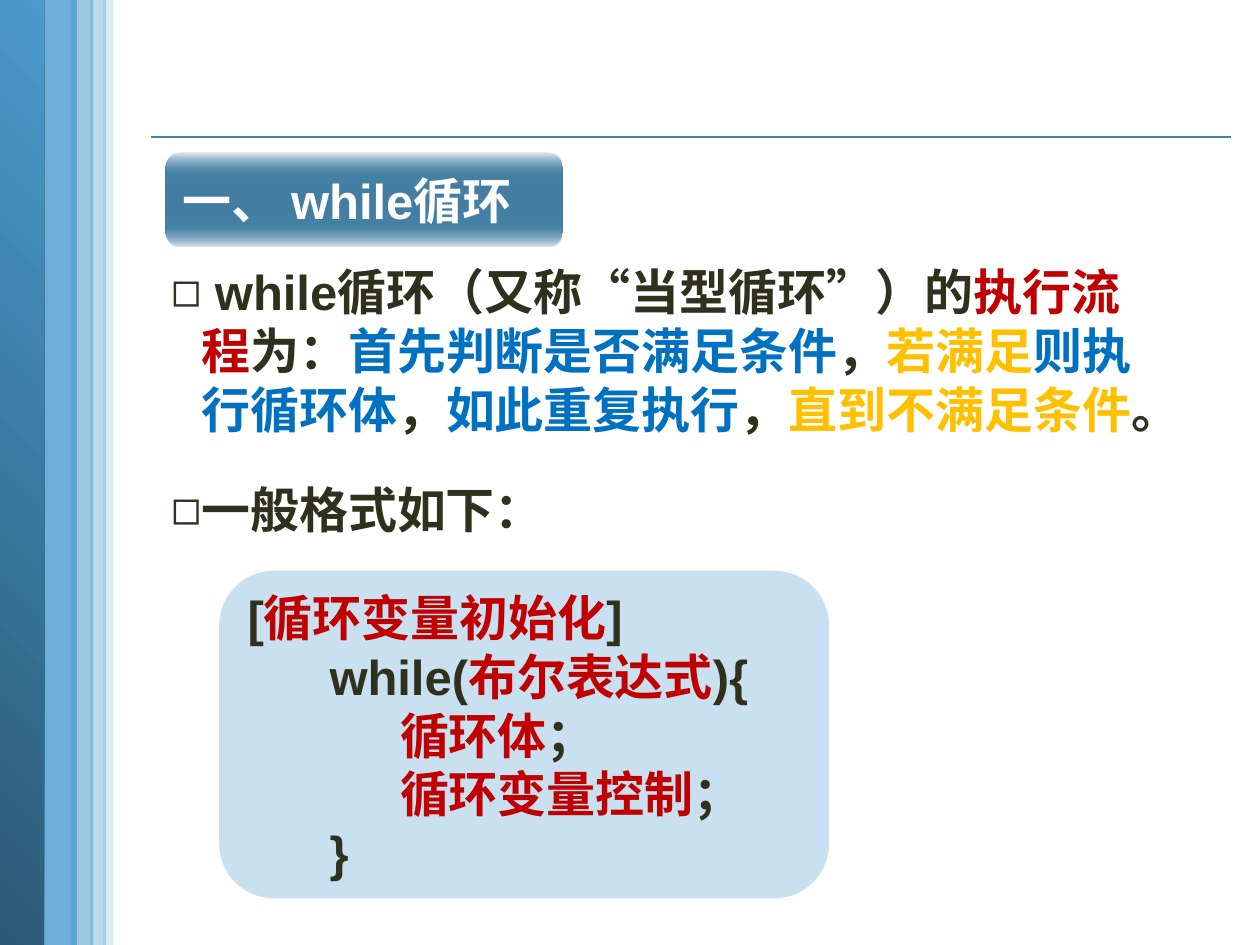
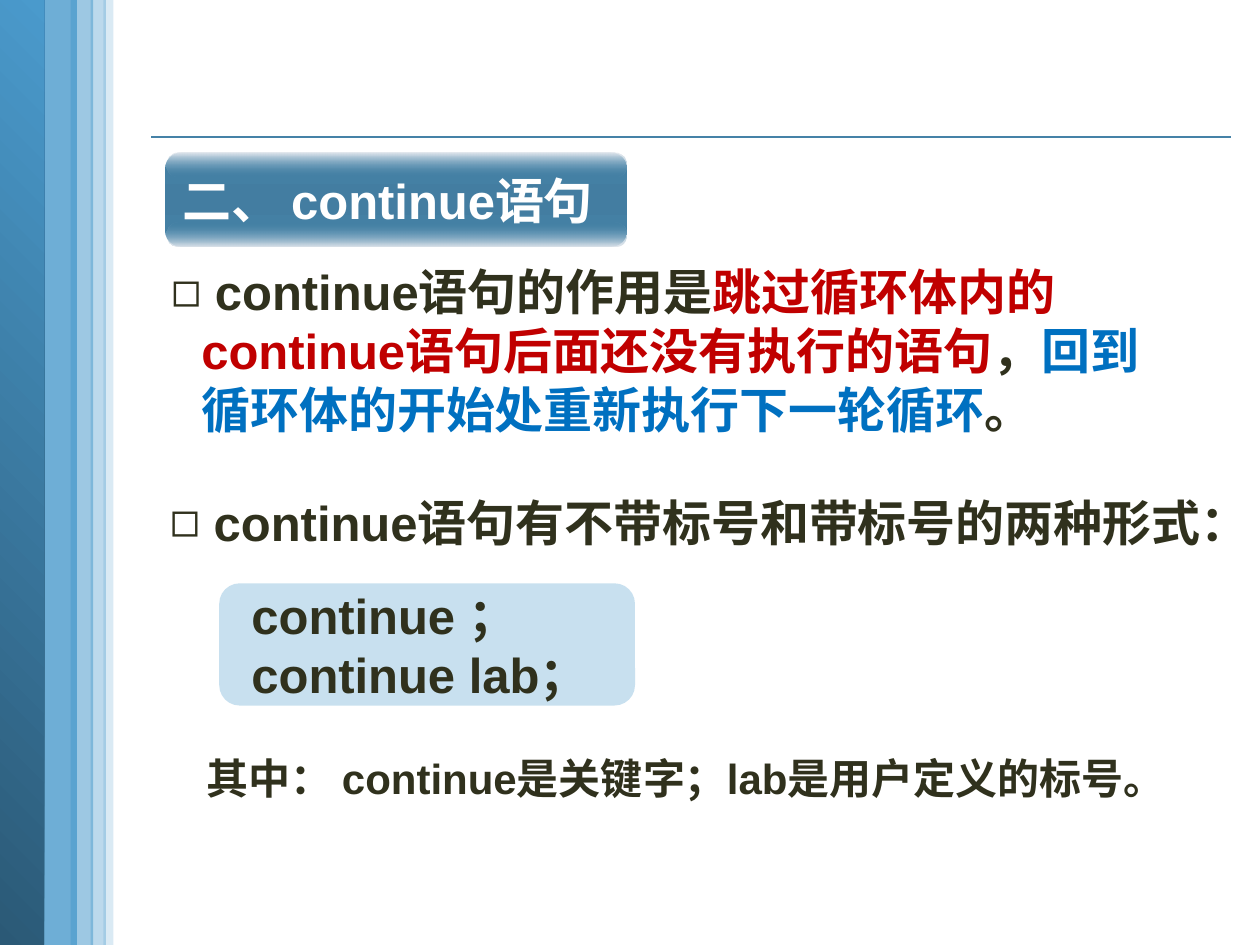
import lxml.etree
import pptx
import pptx.dml.color
import pptx.enum.lang
import pptx.enum.shapes
import pptx.enum.text
import pptx.oxml.ns
import pptx.util

Inches = pptx.util.Inches
SHAPE = pptx.enum.shapes.MSO_SHAPE
ANCHOR = pptx.enum.text.MSO_ANCHOR
CHINESE = pptx.enum.lang.MSO_LANGUAGE_ID.SIMPLIFIED_CHINESE

FONT = "Arial"
DARK, RED, BLUE, YELLOW, WHITE = "30311D", "C00000", "0070C0", "FFC000", "FFFFFF"
SKY, DEEP, STEEL, STEEL_MID = "4A9ACC", "2B5976", "4582A7", "437DA1"

# Side bands: left, top, width, height, opacity in percent
BAND = (0.3, 0, 0.31, 7.53, 80)
EDGE_BANDS = [
    (0.82, -0.02, 0.08, 7.52, 20),
    (0.56, 0, 0.18, 7.51, 54),
    (0.72, 0, 0.12, 7.52, 37),
]


def rgb(value):
    return pptx.dml.color.RGBColor.from_string(value)


def add_child(parent, tag, **attributes):
    child = lxml.etree.SubElement(parent, pptx.oxml.ns.qn(tag))
    for name, value in attributes.items():
        child.set(name, str(value))
    return child


def add_alpha(color_element, percent):
    if percent < 100:
        add_child(color_element, "a:alpha", val=percent * 1000)


class Deck:
    """Holds the presentation, its style and the current slide."""

    def __init__(self):
        self.presentation = pptx.Presentation()
        self.presentation.slide_width = Inches(10)
        self.presentation.slide_height = Inches(7.5)
        self.slide = None

    def new_slide(self):
        self.slide = self.presentation.slides.add_slide(self.presentation.slide_layouts[6])
        # Rule under the header area
        rule = self.slide.shapes.add_connector(
            pptx.enum.shapes.MSO_CONNECTOR.STRAIGHT,
            Inches(1.2), Inches(1.09), Inches(9.77), Inches(1.09))
        rule.line.color.rgb = rgb(STEEL)
        rule.line.width = pptx.util.Pt(1)
        add_child(rule._element.spPr, "a:effectLst")
        # Vertical bands on the left
        self.band(*BAND)
        dark_band = self.box(-0.01, 0, 0.36, 7.5)
        self.gradient(dark_band, [(0, DEEP, 100), (100, SKY, 100)], 315)
        for band in EDGE_BANDS:
            self.band(*band)

    def box(self, left, top, width, height, kind=SHAPE.RECTANGLE, shapes=None):
        shapes = self.slide.shapes if shapes is None else shapes
        shape = shapes.add_shape(
            kind, Inches(left), Inches(top), Inches(width), Inches(height))
        shape.shadow.inherit = False
        shape.line.fill.background()
        return shape

    def tint(self, shape, percent):
        shape.fill.solid()
        shape.fill.fore_color.rgb = rgb(SKY)
        add_alpha(shape._element.spPr.find(".//" + pptx.oxml.ns.qn("a:srgbClr")), percent)

    def band(self, left, top, width, height, percent):
        self.tint(self.box(left, top, width, height), percent)

    def gradient(self, shape, stops, angle):
        """Fill with stops of (position, colour, opacity), angle clockwise."""
        shape.fill.background()
        properties = shape._element.spPr
        fill = add_child(properties, "a:gradFill", rotWithShape=1)
        stop_list = add_child(fill, "a:gsLst")
        for position, color, percent in stops:
            stop = add_child(stop_list, "a:gs", pos=position * 1000)
            add_alpha(add_child(stop, "a:srgbClr", val=color), percent)
        add_child(fill, "a:lin", ang=angle * 60000, scaled=0)
        properties.replace(properties.find(pptx.oxml.ns.qn("a:noFill")), fill)

    def fill_paragraph(self, paragraph, runs, size=28, indent=0, hanging=0):
        paragraph.alignment = pptx.enum.text.PP_ALIGN.LEFT
        paragraph.font.name = FONT
        paragraph.font.size = pptx.util.Pt(size)
        paragraph.font.bold = True
        for text, color in runs:
            run = paragraph.add_run()
            run.text = text
            run.font.color.rgb = rgb(color)
            run.font.language_id = CHINESE
        properties = paragraph._p.get_or_add_pPr()
        properties.set("marL", str(Inches(indent)))
        properties.set("indent", str(-Inches(hanging)))

    def title(self, text, width):
        left, top, height, gloss = 1.31, 1.21, 0.75, 0.19
        shapes = self.slide.shapes.add_group_shape().shapes
        plate = self.box(left, top, width, height, SHAPE.ROUNDED_RECTANGLE, shapes)
        plate.adjustments[0] = 0.175
        self.gradient(plate, [(0, STEEL, 100), (50, STEEL_MID, 100), (100, STEEL, 100)], 90)
        frame = plate.text_frame
        frame.word_wrap = True
        frame.margin_right = 0
        frame.vertical_anchor = ANCHOR.MIDDLE
        self.fill_paragraph(frame.paragraphs[0], [(text, WHITE)])
        # Gloss along the lower and upper edge
        for gloss_top, stops in [
            (top + height - gloss, [(0, STEEL, 0), (100, "E2E7ED", 100)]),
            (top, [(0, "EAEDF1", 100), (100, STEEL, 0)]),
        ]:
            strip = self.box(left + 0.01, gloss_top, width - 0.02, gloss,
                             SHAPE.ROUNDED_RECTANGLE, shapes)
            strip.adjustments[0] = 0.5
            self.gradient(strip, stops, 90)

    def text(self, left, top, width, height, runs, size=28, bullet=True):
        frame = self.slide.shapes.add_textbox(
            Inches(left), Inches(top), Inches(width), Inches(height)).text_frame
        frame.word_wrap = True
        paragraph = frame.paragraphs[0]
        hanging = 0.24 if bullet else 0
        self.fill_paragraph(paragraph, runs, size, hanging, hanging)
        if bullet:
            properties = paragraph._p.get_or_add_pPr()
            mark = add_child(properties, "a:buFont", typeface=FONT)
            properties.insert(0, mark)
            character = add_child(properties, "a:buChar", char="◻")
            properties.insert(1, character)

    def code(self, top, width, height, lines):
        """Rounded code panel; each line is (indent, runs)."""
        panel = self.box(1.74, top, width, height, SHAPE.ROUNDED_RECTANGLE)
        panel.adjustments[0] = 0.167
        self.tint(panel, 30)
        frame = panel.text_frame
        frame.word_wrap = True
        frame.vertical_anchor = ANCHOR.MIDDLE
        for number, (indent, runs) in enumerate(lines):
            paragraph = frame.add_paragraph() if number else frame.paragraphs[0]
            self.fill_paragraph(paragraph, runs, indent=indent)


def while_slide(deck):
    deck.new_slide()
    deck.title("一、 while循环", 3.16)
    deck.text(1.26, 3.76, 8, 0.57, [("一般格式如下：", DARK)])
    deck.text(1.26, 2.03, 8.08, 1.51, [
        (" while循环（又称“当型循环”）的", DARK),
        ("执行流程", RED),
        ("为：", DARK),
        ("首先判断是否满足条件", BLUE),
        ("，", DARK),
        ("若满足", YELLOW),
        ("则执行循环体", BLUE),
        ("，", DARK),
        ("如此重复执行", BLUE),
        ("，", DARK),
        ("直到不满足条件", YELLOW),
        ("。", DARK),
    ])
    keyword, body = 0.65, 1.21
    deck.code(4.53, 4.84, 2.6, [
        (0, [("[", DARK), ("循环变量初始化", RED), ("]", DARK)]),
        (keyword, [("while(", DARK), ("布尔表达式", RED), ("){", DARK)]),
        (body, [("循环体", RED), ("；", DARK)]),
        (body, [("循环变量控制", RED), ("；", DARK)]),
        (keyword, [("}", DARK)]),
    ])


def continue_slide(deck):
    deck.new_slide()
    deck.title("二、 continue语句", 3.67)
    deck.text(1.25, 3.86, 8.75, 0.57,
              [(" continue语句有不带标号和带标号的两种形式：", DARK)])
    deck.text(1.26, 2.03, 8.08, 1.51, [
        (" continue语句的作用是", DARK),
        ("跳过循环体内的continue语句后面还没有执行的语句", RED),
        ("，", DARK),
        ("回到循环体的开始处重新执行下一轮循环", BLUE),
        ("。", DARK),
    ])
    deck.code(4.63, 3.3, 0.97, [
        (0.11, [("continue ；", DARK)]),
        (0.11, [("continue lab；", DARK)]),
    ])
    deck.text(1.54, 5.92, 8.29, 0.5,
              [("其中： continue是关键字；lab是用户定义的标号。", DARK)],
              size=24, bullet=False)


def main():
    deck = Deck()
    while_slide(deck)
    continue_slide(deck)
    deck.presentation.save("out.pptx")


if __name__ == "__main__":
    main()
